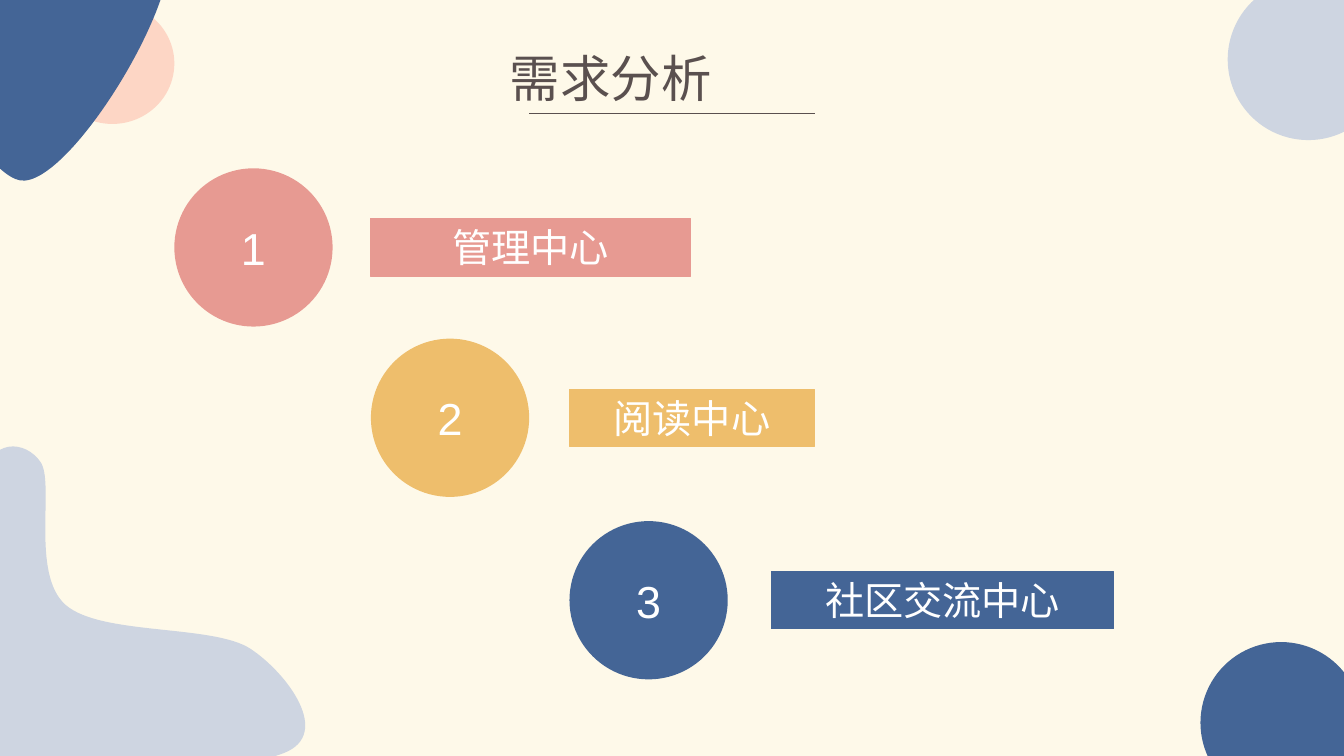
from math import cos, radians, sin

from lxml import etree
from pptx import Presentation
from pptx import util as u
from pptx.dml.color import RGBColor
from pptx.enum import shapes, text
from pptx.oxml.ns import qn

COLS, ROWS = 40, 22.5
CELL = u.Inches(1) / 3
CREAM = RGBColor(0xFE, 0xF0, 0xC1)
BROWN = RGBColor(0x5A, 0x50, 0x4F)
WHITE = RGBColor(0xFF, 0xFF, 0xFF)
ROSE = RGBColor(0xE7, 0x9A, 0x92)
GOLD = RGBColor(0xEE, 0xBE, 0x6C)
NAVY = RGBColor(0x44, 0x65, 0x96)
MIST = RGBColor(0xCE, 0xD5, 0xE1)
PEACH = RGBColor(0xFD, 0xD6, 0xC5)

OVAL = shapes.MSO_SHAPE.OVAL
RECT = shapes.MSO_SHAPE.RECTANGLE
MID = {"vertical_anchor": text.MSO_ANCHOR.MIDDLE, "word_wrap": True}
GROW = {"vertical_anchor": text.MSO_ANCHOR.TOP, "word_wrap": True,
        "auto_size": text.MSO_AUTO_SIZE.SHAPE_TO_FIT_TEXT}

DISC, BAR = 4.71, 1.71
STAIRS = [5.19, 11.04, 16.95, 22.95]
ITEMS = [
    ("管理中心", 5.01, 9.51, ROSE),
    ("阅读中心", 10.08, 7.29, GOLD),
    ("社区交流中心", 15.51, 10.2, NAVY),
]
DOTS = [
    (36.54, -0.63, 4.8, 4.8, MIST),
    (1.5, 0.09, 3.69, 3.6, PEACH),
    (35.73, 19.11, 4.8, 4.8, NAVY),
]
POND = [
    (-0.66, 14.43), (-0.27, 12.93), (0.78, 13.14), (1.2, 13.74),
    (1.65, 14.34), (0.9, 17.07), (1.95, 18),
    (3, 18.93), (6.36, 18.57), (7.47, 19.32),
    (8.55, 20.04), (9.9, 21.84), (8.46, 22.41),
    (7.02, 22.98), (0.39, 24.09), (-1.14, 22.77),
    (-2.7, 21.45), (-1.05, 15.96), (-0.66, 14.43),
]
LEAF = [
    (4.95, -1.86), (4.2, -3.3), (-3.18, -4.5), (-3.93, -3.3),
    (-4.65, -2.1), (-0.87, 5.13), (0.6, 5.37),
    (2.07, 5.61), (5.73, -0.42), (4.95, -1.86),
]
BLOBS = [
    (POND, (-1.8, 13.29, 10.89, 10.11), 0, MIST),
    (LEAF, (-3.81, -4.38, 9.99, 8.13), 64.3, NAVY),
]


def grid(*cells):
    return [u.Emu(round(c * CELL)) for c in cells]


def apply(obj, form):
    for key, val in form.items():
        setattr(obj, key, val)


def write(shape, words, size, color, align, form):
    frame = shape.text_frame
    apply(frame, form)
    para = frame.paragraphs[0]
    para.alignment = align
    run = para.add_run()
    run.text = words
    apply(run.font, {"size": u.Pt(size), "name": "Arial"})
    run.font.color.rgb = color


def paint(shape, color, edge=False):
    shape.shadow.inherit = False
    shape.fill.solid()
    shape.fill.fore_color.rgb = color
    if edge:
        shape.line.color.rgb = color
        shape.line.width = u.Pt(0.75)
    else:
        shape.line.fill.background()


def block(slide, kind, box, color, edge=False):
    shape = slide.shapes.add_shape(kind, *grid(*box))
    paint(shape, color, edge)
    return shape


def local(knots, box, turn):
    left, top, wide, high = box
    c, s = cos(radians(turn)), sin(radians(turn))
    for x, y in knots:
        dx, dy = x - left - wide / 2, y - top - high / 2
        yield grid(wide / 2 + dx * c + dy * s, high / 2 - dx * s + dy * c)


def blob(slide, knots, box, turn, color):
    dots = list(local(knots, box, turn))
    pen = slide.shapes.build_freeform(*dots[0])
    pen.add_line_segments(dots[3::3], close=True)
    shape = pen.convert_to_shape()
    sides = dict(zip(("left", "top", "width", "height"), grid(*box)))
    apply(shape, {**sides, "rotation": turn})
    trail = next(shape._element.iter(qn("a:path")))
    trail.set("w", str(sides["width"]))
    trail.set("h", str(sides["height"]))
    spots = iter(dots)
    for part in list(trail)[:-1]:
        bend = part.tag == qn("a:lnTo")
        node = etree.Element(qn("a:cubicBezTo")) if bend else part
        for old in list(part):
            part.remove(old)
        for _ in range(3 if bend else 1):
            x, y = next(spots)
            etree.SubElement(node, qn("a:pt"), x=str(x), y=str(y))
        if bend:
            trail.replace(part, node)
    paint(shape, color)


def wash(slide):
    fill = slide.background.fill
    fill.solid()
    fill.fore_color.rgb = CREAM
    tint = next(slide._element.iter(qn("a:srgbClr")))
    etree.SubElement(tint, qn("a:alpha"), val="35000")


def title(slide):
    box = slide.shapes.add_textbox(*grid(14.88, 1.26, 10.26, 2.13))
    write(box, "需求分析", 36, BROWN, text.PP_ALIGN.JUSTIFY, GROW)
    rule = slide.shapes.add_connector(
        shapes.MSO_CONNECTOR.STRAIGHT, *grid(15.75, 3.38, 24.25, 3.38))
    rule.line.color.rgb = BROWN
    rule.line.width = u.Pt(0.75)
    etree.SubElement(rule._element.spPr, qn("a:effectLst"))


def disc(slide, num, left, item):
    _, top, _, color = item
    shape = block(slide, OVAL, (left, top, DISC, DISC), color)
    write(shape, str(num), 32, WHITE, text.PP_ALIGN.CENTER, MID)


def label(slide, left, item):
    words, top, width, color = item
    drop = top + (DISC - BAR) / 2
    bar = block(slide, RECT, (left, drop, width, BAR), color, True)
    write(bar, words, 28, WHITE, text.PP_ALIGN.CENTER, GROW)


def main():
    deck = Presentation()
    deck.slide_width, deck.slide_height = grid(COLS, ROWS)
    slide = deck.slides.add_slide(deck.slide_layouts[6])
    wash(slide)
    title(slide)
    for num, (left, item) in enumerate(zip(STAIRS, ITEMS), 1):
        disc(slide, num, left, item)
    for left, item in zip(STAIRS[1:], ITEMS):
        label(slide, left, item)
    for *box, color in DOTS:
        block(slide, OVAL, box, color)
    for shape in BLOBS:
        blob(slide, *shape)
    deck.save("out.pptx")


if __name__ == "__main__":
    main()
